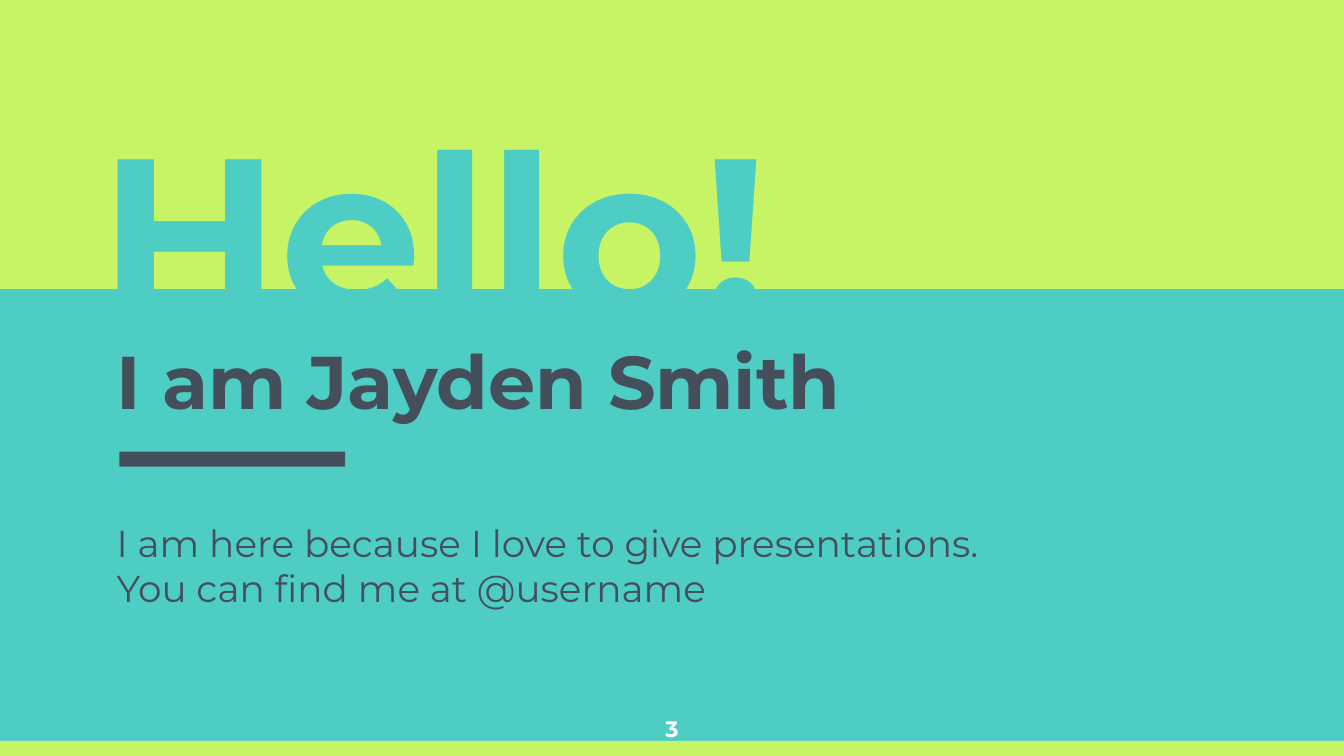
import pptx
import pptx.util
import pptx.dml.color
import pptx.enum.shapes
import pptx.enum.text

Pt = pptx.util.Pt
RGBColor = pptx.dml.color.RGBColor
ANCHOR = pptx.enum.text.MSO_ANCHOR
ALIGN = pptx.enum.text.PP_ALIGN

LIME = RGBColor(0xC7, 0xF4, 0x64)
TEAL = RGBColor(0x4E, 0xCD, 0xC4)
SLATE = RGBColor(0x45, 0x4F, 0x5B)
WHITE = RGBColor(0xFF, 0xFF, 0xFF)
FONT = "Montserrat"
WIDTH, HEIGHT = 720, 405
STRIPE = 8
INSET = 7.2

# Content: bars as (left, top, width, height), colour
bars = [
    ((0, HEIGHT - STRIPE, WIDTH, STRIPE), LIME),
    ((0, 0, WIDTH, 154.8), LIME),
    ((63.9, 242, 121, STRIPE), SLATE),
]

# Content: texts as box, lines, font values, anchor, alignment
texts = [
    ((46.1, 109.4, 396, 91.5), ["Hello!"],
     {"size": Pt(120), "bold": True}, TEAL, ANCHOR.BOTTOM, ALIGN.LEFT),
    ((55.4, 172.1, 425, 49.7), ["I am Jayden Smith"],
     {"size": Pt(40), "bold": True}, SLATE, ANCHOR.TOP, ALIGN.LEFT),
    ((55.4, 271.4, 525, 111.6),
     ["I am here because I love to give presentations.",
      "You can find me at @username"],
     {"size": Pt(20), "bold": False}, SLATE, ANCHOR.TOP, ALIGN.LEFT),
    (((WIDTH - 43.2) / 2, 375.8, 43.2, 24.5), ["3"],
     {"size": Pt(12), "bold": True}, WHITE, ANCHOR.TOP, ALIGN.CENTER),
]

presentation = pptx.Presentation()
presentation.slide_width, presentation.slide_height = Pt(WIDTH), Pt(HEIGHT)
slide = presentation.slides.add_slide(presentation.slide_layouts[6])
slide.background.fill.solid()
slide.background.fill.fore_color.rgb = TEAL

# Colour bars
for box, colour in bars:
    bar = slide.shapes.add_shape(
        pptx.enum.shapes.MSO_SHAPE.RECTANGLE, *map(Pt, box))
    bar.shadow.inherit = False
    bar.fill.solid()
    bar.fill.fore_color.rgb = colour
    bar.line.fill.background()

# Texts
for box, lines, font_values, colour, anchor, alignment in texts:
    frame = slide.shapes.add_textbox(*map(Pt, box)).text_frame
    frame_values = {"word_wrap": True, "vertical_anchor": anchor}
    for side in ("left", "top", "right", "bottom"):
        frame_values[f"margin_{side}"] = Pt(INSET)
    for name, value in frame_values.items():
        setattr(frame, name, value)
    frame.text = "\n".join(lines)
    for paragraph in frame.paragraphs:
        paragraph.alignment = alignment
        font = paragraph.runs[0].font
        for name, value in {"name": FONT, **font_values}.items():
            setattr(font, name, value)
        font.color.rgb = colour

presentation.save("out.pptx")
